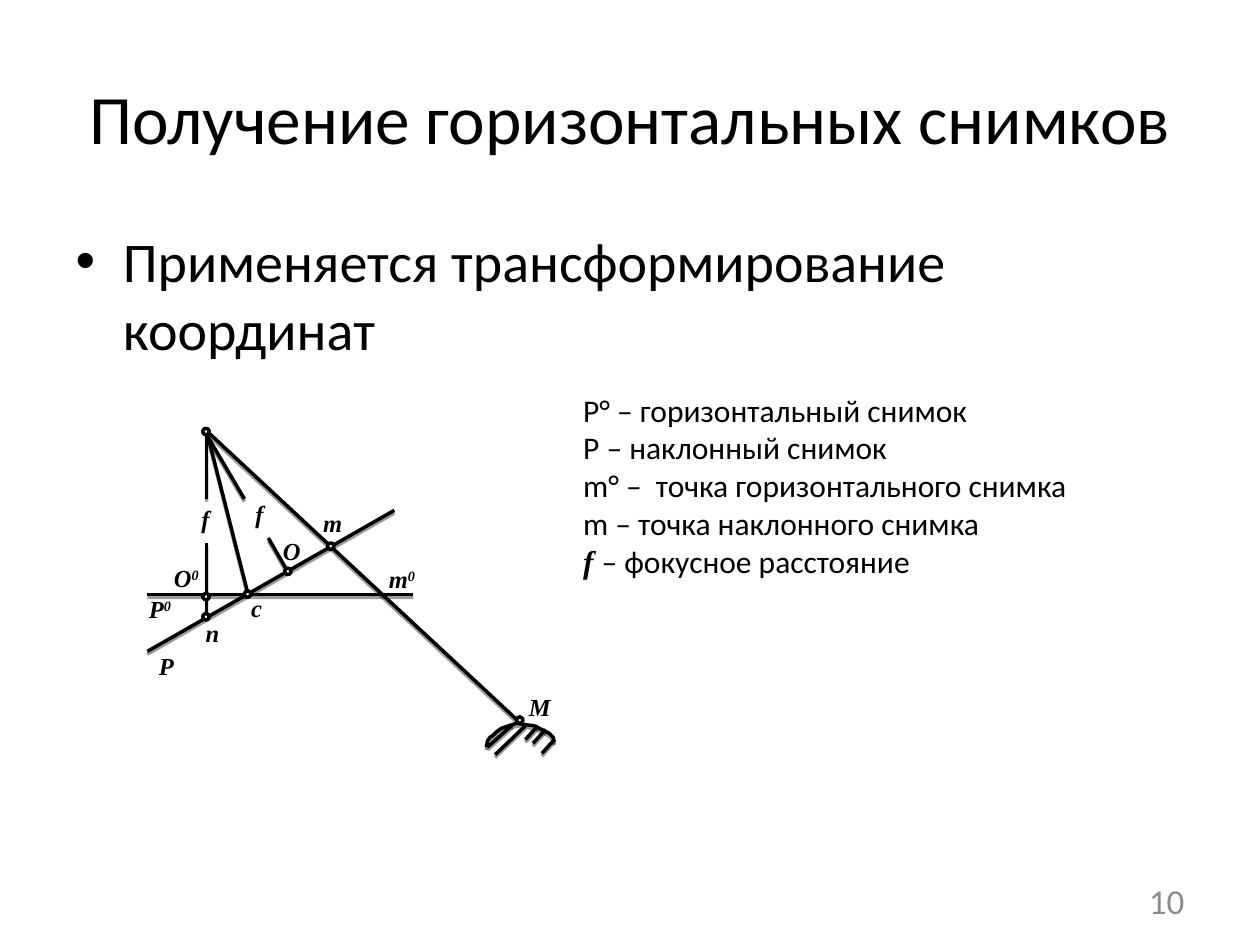
from typing import NamedTuple

from lxml import etree
from pptx import Presentation
from pptx.dml.color import RGBColor
from pptx.enum.shapes import MSO_CONNECTOR, MSO_SHAPE
from pptx.enum.text import MSO_ANCHOR, MSO_AUTO_SIZE, PP_ALIGN
from pptx.oxml.ns import qn
from pptx.util import Pt

PX = 9144
BLACK = RGBColor(0x00, 0x00, 0x00)
WHITE = RGBColor(0xFF, 0xFF, 0xFF)
GREY = RGBColor(0x8C, 0x8C, 0x8C)
SANS, SERIF = "Calibri", "Times New Roman"
LEFT, CENTER, RIGHT = PP_ALIGN.LEFT, PP_ALIGN.CENTER, PP_ALIGN.RIGHT
TOP, MIDDLE = MSO_ANCHOR.TOP, MSO_ANCHOR.MIDDLE
STRAIGHT, OVAL = MSO_CONNECTOR.STRAIGHT, MSO_SHAPE.OVAL
NO_FIT = MSO_AUTO_SIZE.NONE
DOT = 5


class Box(NamedTuple):
    left: int
    top: int
    width: int
    height: int


class Ray(NamedTuple):
    x1: int
    y1: int
    x2: int
    y2: int


class Run(NamedTuple):
    text: str
    math: bool = False
    lift: bool = False


class Label(NamedTuple):
    text: str
    box: Box
    power: str = ""


RAYS = [
    Ray(164, 342, 410, 571), Ray(117, 472, 328, 472), Ray(164, 342, 197, 472),
    Ray(164, 345, 194, 396), Ray(213, 427, 228, 453), Ray(164, 431, 164, 489),
    Ray(164, 345, 164, 396), Ray(117, 517, 313, 405),
]
HATCH = [
    Ray(407, 575, 387, 593), Ray(417, 576, 393, 599), Ray(427, 576, 417, 587),
    Ray(433, 579, 423, 590), Ray(440, 587, 430, 598),
]
GROUND = [
    (386, 593), (387, 588), (389, 585), (391, 584), (394, 581), (398, 578),
    (404, 576), (410, 574), (416, 575), (424, 576), (430, 579), (436, 582),
    (439, 585), (440, 589),
]
DOTS = [(161, 340), (410, 569), (161, 471), (161, 487), (194, 469),
        (226, 451), (260, 431)]
LABELS = [
    Label("M", Box(417, 549, 23, 23)),
    Label("m", Box(304, 448, 30, 23), "0"),
    Label("f", Box(148, 400, 30, 23)),
    Label("f", Box(191, 396, 30, 23)),
    Label("O", Box(133, 447, 30, 23), "0"),
    Label("P", Box(112, 472, 30, 23), "0"),
    Label("P", Box(117, 517, 30, 23)),
    Label("n", Box(159, 491, 19, 23)),
    Label("с", Box(194, 471, 19, 23)),
    Label("m", Box(249, 400, 30, 29)),
    Label("O", Box(222, 426, 19, 23)),
]
LEGEND = [
    [Run("Р° – горизонтальный снимок")],
    [Run("Р – наклонный снимок")],
    [Run("m° –  точка горизонтального снимка")],
    [Run("m – точка наклонного снимка")],
    [Run("f ", math=True), Run("– фокусное расстояние")],
]


def scale(nums) -> list[int]:
    """Turn px into EMU."""
    return [num * PX for num in nums]


def place(shape, box: Box) -> None:
    """Move and size a shape."""
    shape.left, shape.top, shape.width, shape.height = scale(box)


def write(frame, rows: list[list[Run]], *, size: float, color=BLACK, align=LEFT,
          anchor=TOP, wrap: bool = True, inset: int | None = None) -> None:
    """Fill a text frame with formatted runs, one row per paragraph."""
    frame.auto_size, frame.word_wrap = NO_FIT, wrap
    frame.vertical_anchor = anchor
    if inset is not None:
        frame.margin_left = frame.margin_right = inset * PX
        frame.margin_top = frame.margin_bottom = inset * PX
    for num, row in enumerate(rows):
        para = frame.add_paragraph() if num else frame.paragraphs[0]
        para.alignment = align
        for item in row:
            run = para.add_run()
            run.text = item.text
            font = run.font
            font.size, font.color.rgb = Pt(size), color
            font.name = SERIF if item.math else SANS
            font.bold = font.italic = item.math
            if item.lift:
                font._element.set("baseline", "30000")


def text(shapes, box: Box, rows: list[list[Run]], **form) -> None:
    """Add a text box."""
    write(shapes.add_textbox(*scale(box)).text_frame, rows, **form)


def stroke(shape) -> None:
    """Give a shape the black line of the sketch."""
    shape.line.color.rgb, shape.line.width = BLACK, Pt(2)


def shade(shape) -> None:
    """Drop a sharp shadow straight below a line."""
    props = shape._element.spPr
    for old in props.findall(qn("a:effectLst")):
        props.remove(old)
    effect = etree.SubElement(props, qn("a:effectLst"))
    drop = etree.SubElement(effect, qn("a:outerShdw"), blurRad="0",
                            dist="20320", dir="5400000", rotWithShape="0")
    tint = etree.SubElement(drop, qn("a:srgbClr"), val="000000")
    etree.SubElement(tint, qn("a:alpha"), val="38000")


def draw_ray(shapes, ray: Ray) -> None:
    """Draw a straight line with its shadow."""
    line = shapes.add_connector(STRAIGHT, *scale(ray))
    stroke(line)
    shade(line)


def draw_ground(shapes) -> None:
    """Draw the outline of the ground."""
    path = shapes.build_freeform(*GROUND[0], scale=PX)
    path.add_line_segments(GROUND[1:], close=False)
    curve = path.convert_to_shape()
    curve.fill.background()
    stroke(curve)
    shade(curve)


def draw_dot(shapes, left: int, top: int) -> None:
    """Draw a point of the sketch."""
    dot = shapes.add_shape(OVAL, *scale((left, top, DOT, DOT)))
    dot.shadow.inherit = False
    dot.fill.solid()
    dot.fill.fore_color.rgb = WHITE
    stroke(dot)


def draw_label(shapes, label: Label) -> None:
    """Write a symbol with its power, if any."""
    row = [Run(label.text, math=True)]
    if label.power:
        row.append(Run(label.power, math=True, lift=True))
    text(shapes, label.box, [row], size=14, align=CENTER, anchor=MIDDLE, inset=0)


def draw_sketch(shapes) -> None:
    """Draw the whole sketch as one group."""
    for ray in RAYS + HATCH:
        draw_ray(shapes, ray)
    draw_ground(shapes)
    for label in LABELS:
        draw_label(shapes, label)
    for dot in DOTS:
        draw_dot(shapes, *dot)


def main() -> None:
    """Build and save the slide."""
    deck = Presentation()
    deck.slide_width, deck.slide_height = scale((1000, 750))
    slide = deck.slides.add_slide(deck.slide_layouts[1])
    shapes = slide.shapes
    title, body = shapes.title, slide.placeholders[1]
    place(title, Box(50, 30, 900, 125))
    write(title.text_frame, [[Run("Получение горизонтальных снимков")]],
          size=39.6, align=CENTER, anchor=MIDDLE)
    place(body, Box(50, 175, 900, 495))
    write(body.text_frame, [[Run("Применяется трансформирование координат")]],
          size=32)
    draw_sketch(shapes.add_group_shape().shapes)
    text(shapes, Box(453, 305, 409, 162), LEGEND, size=18, wrap=False)
    text(shapes, Box(717, 695, 233, 40), [[Run("10")]], size=20, color=GREY,
         align=RIGHT, anchor=MIDDLE)
    deck.save("out.pptx")


if __name__ == "__main__":
    main()
